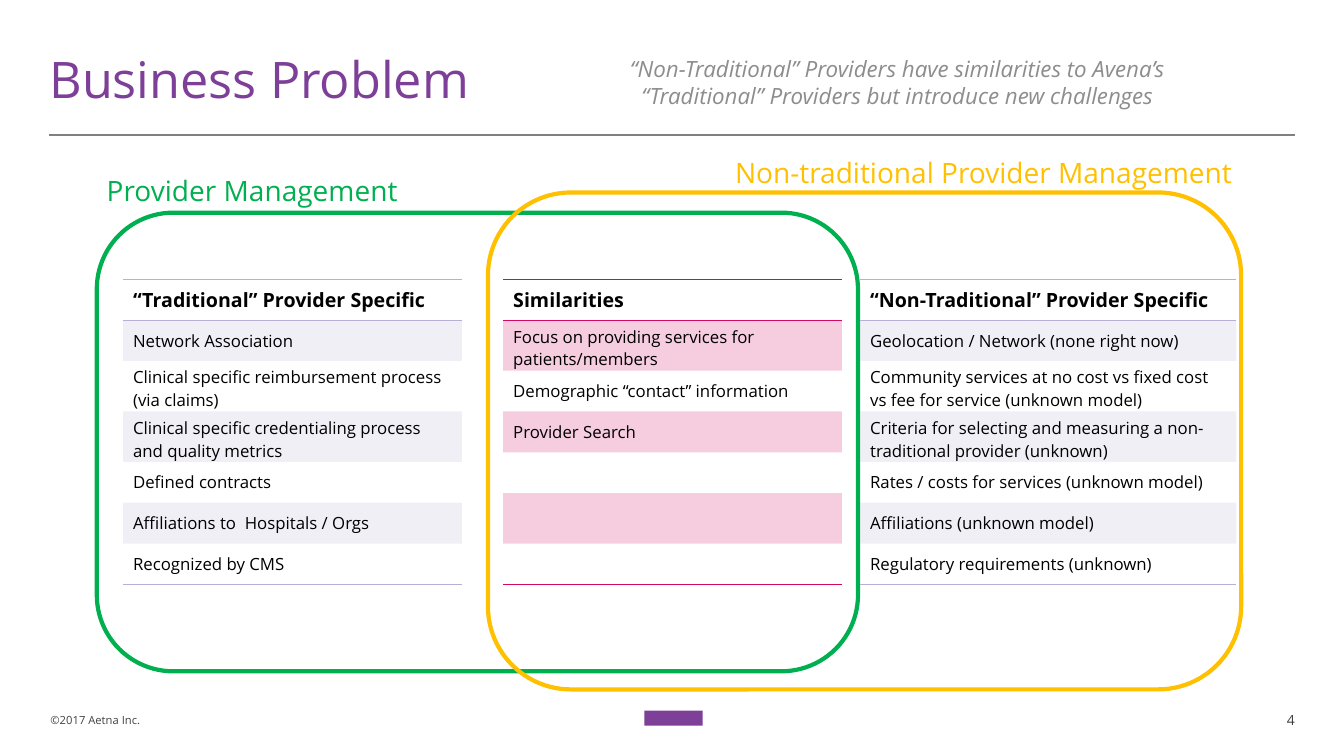
from pptx import Presentation
from pptx.dml.color import RGBColor
from pptx.enum.shapes import MSO_CONNECTOR as CONN, MSO_SHAPE as SHAPE
from pptx.enum.text import MSO_ANCHOR as ANCHOR, PP_ALIGN as ALIGN
from pptx.oxml.ns import qn
from pptx.util import Inches, Pt
from lxml.etree import SubElement

FONT = "Open Sans"
NO_STYLE = "{2D5ABB26-0587-4C30-8999-92F81FD0307C}"
COLORS = {
    "purple": "7D3F98", "green": "00B050", "yellow": "FFC000",
    "lilac": "B9AFD6", "pink": "D20962", "black": "000000",
    "subtitle": "8D8D8D", "footer": "414141", "page": "3F3F3F", "rule": "808080",
}
TABLE_TOP, TABLE_HEIGHT = 2.77, 3.03
ROW_HEIGHT = 2.84 / 7
TALL_ROW = 0.5

TRADITIONAL = [
    "“Traditional” Provider Specific",
    "Network Association",
    "Clinical specific reimbursement process (via claims)",
    "Clinical specific credentialing process and quality metrics",
    "Defined contracts",
    "Affiliations to  Hospitals / Orgs",
    "Recognized by CMS",
]
SIMILARITIES = [
    "Similarities",
    "Focus on providing services for patients/members",
    "Demographic “contact” information",
    "Provider Search",
    "", "", "",
]
NON_TRADITIONAL = [
    "“Non-Traditional” Provider Specific",
    "Geolocation / Network (none right now)",
    "Community services at no cost vs fixed cost vs fee for service (unknown model)",
    "Criteria for selecting and measuring a non-traditional provider (unknown)",
    "Rates / costs for services (unknown model)",
    "Affiliations (unknown model)",
    "Regulatory requirements (unknown)",
]


def rgb(name):
    return RGBColor.from_string(COLORS[name])


def style_run(r, size, color, bold=False, italic=False):
    r.font.name, r.font.size = FONT, Pt(size)
    r.font.bold, r.font.italic = bold, italic
    r.font.color.rgb = rgb(color)


def add_text(slide, box, text, size, color, align=ALIGN.LEFT,
             anchor=ANCHOR.TOP, inset=True, italic=False, spacing=None):
    tf = slide.shapes.add_textbox(*map(Inches, box)).text_frame
    tf.text = text
    tf.word_wrap = True
    tf.vertical_anchor = anchor
    if not inset:
        tf.margin_left = tf.margin_right = tf.margin_top = tf.margin_bottom = 0
    p = tf.paragraphs[0]
    p.alignment, p.line_spacing = align, spacing
    style_run(p.runs[0], size, color, italic=italic)


def add_group_outline(slide, box, color):
    sp = slide.shapes.add_shape(SHAPE.ROUNDED_RECTANGLE, *map(Inches, box))
    sp.shadow.inherit = False
    sp.fill.background()
    sp.line.color.rgb = rgb(color)
    sp.line.width = Pt(3)


def add_rule(slide, left, right, y):
    line = slide.shapes.add_connector(
        CONN.STRAIGHT, Inches(left), Inches(y), Inches(right), Inches(y))
    line.line.color.rgb = rgb("rule")
    line.line.width = Pt(1)
    SubElement(line._element.spPr, qn("a:effectLst"))


def add_mark(slide, box):
    sp = slide.shapes.add_shape(SHAPE.RECTANGLE, *map(Inches, box))
    sp.shadow.inherit = False
    sp.fill.solid()
    sp.fill.fore_color.rgb = rgb("purple")
    sp.line.fill.background()


def add_border(cell, side, color):
    ln = SubElement(cell._tc.get_or_add_tcPr(), qn(f"a:ln{side}"), w=str(Pt(1)))
    fill = SubElement(ln, qn("a:solidFill"))
    SubElement(fill, qn("a:srgbClr"), val=COLORS[color])


def fill_cell(cell, color):
    cell.fill.solid()
    cell.fill.fore_color.rgb = rgb(color)
    clr = cell._tc.tcPr.find(qn("a:solidFill")).find(qn("a:srgbClr"))
    SubElement(clr, qn("a:alpha"), val="20000")


def add_list_table(slide, left, width, rows, color, tall_rows=()):
    frame = slide.shapes.add_table(
        len(rows), 1, Inches(left), Inches(TABLE_TOP), Inches(width), Inches(TABLE_HEIGHT))
    table = frame.table
    table.first_row = table.horz_banding = False
    table._tbl.tblPr.find(qn("a:tableStyleId")).text = NO_STYLE
    for i, text in enumerate(rows):
        table.rows[i].height = Inches(TALL_ROW if i in tall_rows else ROW_HEIGHT)
        cell = table.cell(i, 0)
        cell.vertical_anchor = ANCHOR.MIDDLE
        cell.text_frame.text = text
        p = cell.text_frame.paragraphs[0]
        if text:
            style_run(p.runs[0], 12 if i else 14, "black", bold=i == 0)
        else:
            SubElement(p._p, qn("a:endParaRPr"), sz="1200")
        # Lines around the header and under the last row
        if i == 0:
            add_border(cell, "T", color)
        if i in (0, len(rows) - 1):
            add_border(cell, "B", color)
        if i % 2:
            fill_cell(cell, color)
        else:
            cell.fill.background()
    frame.height = Inches(TABLE_HEIGHT)


def main():
    prs = Presentation()
    prs.slide_width, prs.slide_height = Inches(13.33), Inches(7.5)
    slide = prs.slides.add_slide(prs.slide_layouts[6])

    # Footer
    add_mark(slide, (6.39, 7.05, 0.58, 0.15))
    add_text(slide, (12.14, 7.02, 0.8, 0.25), "4", 10, "page",
             align=ALIGN.RIGHT, anchor=ANCHOR.MIDDLE)
    add_text(slide, (0.5, 7.02, 4.22, 0.25), "©2017 Aetna Inc.", 8, "footer",
             anchor=ANCHOR.MIDDLE, inset=False)

    # Heading
    add_rule(slide, 0.49, 12.84, 1.34)
    add_text(slide, (0.49, 0.42, 12.05, 0.8), "Business Problem", 36, "purple",
             anchor=ANCHOR.MIDDLE, inset=False, spacing=0.9)
    add_text(slide, (5.52, 0.5, 6.76, 0.64),
             "“Non-Traditional” Providers have similarities to Avena’s “Traditional” "
             "Providers but introduce new challenges",
             16, "subtitle", align=ALIGN.CENTER, italic=True)

    # Overlapping groups
    add_text(slide, (0.96, 1.67, 3.36, 0.44), "Provider Management", 20, "green")
    add_group_outline(slide, (0.96, 2.11, 7.55, 4.55), "green")
    add_group_outline(slide, (4.84, 1.91, 7.47, 4.93), "yellow")
    add_text(slide, (7.18, 1.49, 5.14, 0.44), "Non-traditional Provider Management",
             20, "yellow", align=ALIGN.RIGHT)

    # Lists
    add_list_table(slide, 1.22, 3.36, TRADITIONAL, "lilac")
    add_list_table(slide, 4.99, 3.36, SIMILARITIES, "pink", tall_rows=(5,))
    add_list_table(slide, 8.53, 3.73, NON_TRADITIONAL, "lilac")

    prs.save("out.pptx")


if __name__ == "__main__":
    main()
